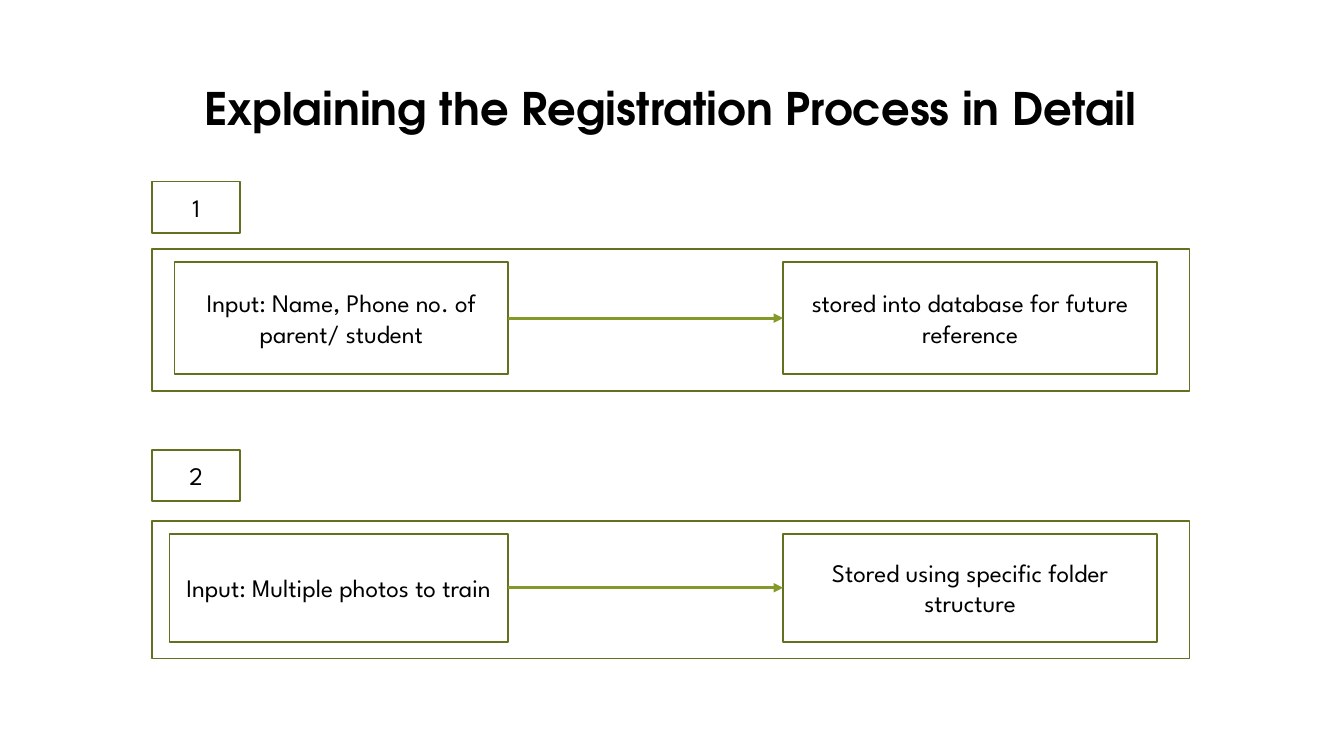
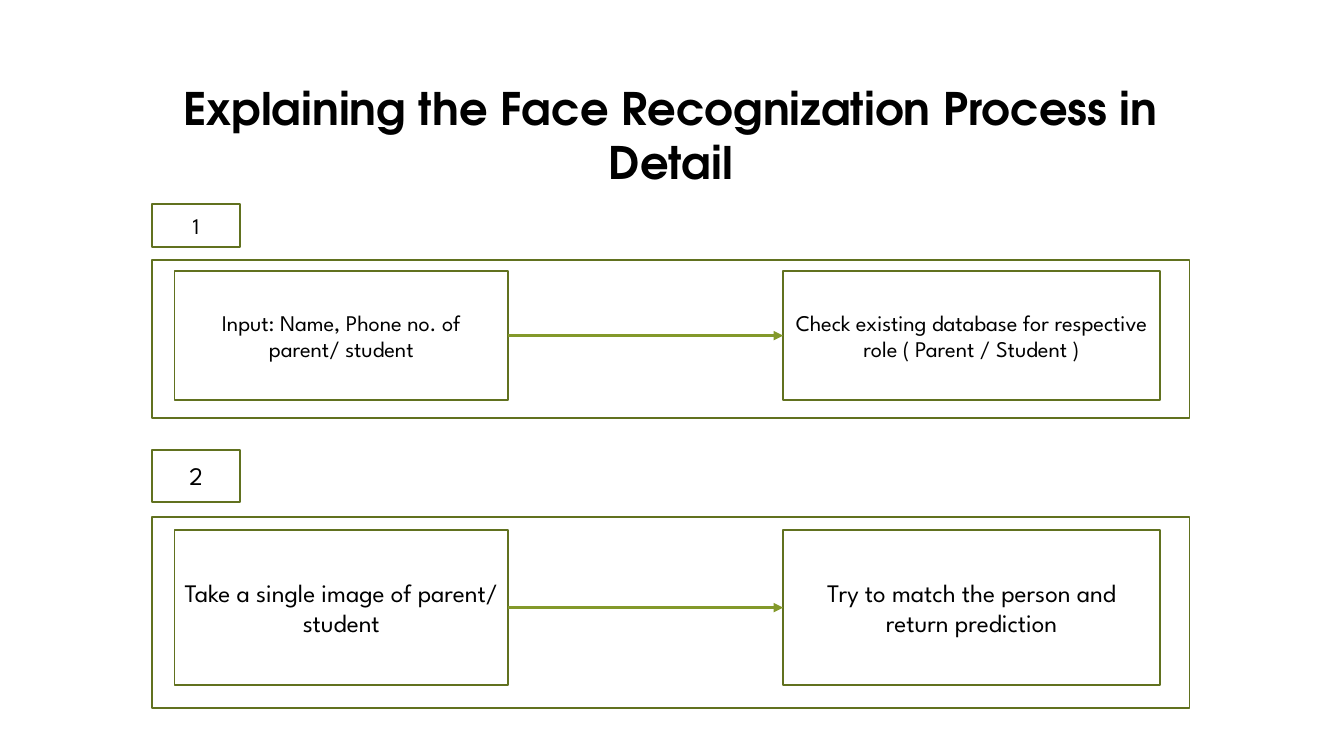
import dataclasses

import lxml.etree
import pptx
import pptx.dml.color
import pptx.enum.shapes
import pptx.enum.text
import pptx.oxml.ns
import pptx.util

Pt = pptx.util.Pt
RGB = pptx.dml.color.RGBColor


@dataclasses.dataclass(frozen=True)
class Theme:
    ink: RGB = RGB.from_string("000000")
    outline: RGB = RGB.from_string("61711F")
    arrow: RGB = RGB.from_string("83992A")
    title_font: str = "TeX Gyre Adventor"
    body_font: str = "League Spartan"
    title_size: float = 32
    body_size: float = 18
    small_size: float = 16
    outline_width: float = 1.25
    arrow_width: float = 2.25


# Columns shared by every stage, in points
LEFT, FRAME_WIDTH = 108.7, 740.9
BADGE_WIDTH = 62.8
INPUT_LEFT, INPUT_RIGHT = 124.7, 362.9
RESULT_LEFT = 559.4


def apply(target, values):
    for name, value in values.items():
        setattr(target, name, value)


class Deck:
    """Holds the theme and the current slide."""

    def __init__(self, theme):
        self.theme = theme
        self.presentation = pptx.Presentation()
        apply(self.presentation, {"slide_width": Pt(960), "slide_height": Pt(540)})
        self.slide = None

    def label(self, shape, text, font, size, bold=False):
        frame = shape.text_frame
        frame.word_wrap = True
        paragraph = frame.paragraphs[0]
        paragraph.alignment = pptx.enum.text.PP_ALIGN.CENTER
        run = paragraph.add_run()
        run.text = text
        apply(run.font, {"name": font, "size": Pt(size), "bold": bold})
        run.font.color.rgb = self.theme.ink

    def new_slide(self, heading, heading_height):
        blank = self.presentation.slide_layouts[6]
        self.slide = self.presentation.slides.add_slide(blank)
        title = self.slide.shapes.add_textbox(
            Pt(LEFT), Pt(54), Pt(FRAME_WIDTH), Pt(heading_height))
        self.label(title, heading, self.theme.title_font, self.theme.title_size, True)

    def box(self, left, top, width, height, text="", size=None):
        box = self.slide.shapes.add_shape(
            pptx.enum.shapes.MSO_SHAPE.RECTANGLE,
            Pt(left), Pt(top), Pt(width), Pt(height))
        box.shadow.inherit = False
        box.fill.background()
        box.line.color.rgb = self.theme.outline
        box.line.width = Pt(self.theme.outline_width)
        if text:
            box.text_frame.vertical_anchor = pptx.enum.text.MSO_ANCHOR.MIDDLE
            self.label(box, text, self.theme.body_font, size)
        return box

    def arrow(self, source, target):
        arrow = self.slide.shapes.add_connector(
            pptx.enum.shapes.MSO_CONNECTOR.STRAIGHT, 0, 0, 0, 0)
        arrow.begin_connect(source, 3)
        arrow.end_connect(target, 1)
        arrow.line.color.rgb = self.theme.arrow
        arrow.line.width = Pt(self.theme.arrow_width)
        # Arrowhead at the target, and no shadow
        qn = pptx.oxml.ns.qn
        properties = arrow.element.spPr
        head = lxml.etree.SubElement(properties.find(qn("a:ln")), qn("a:tailEnd"))
        head.set("type", "triangle")
        lxml.etree.SubElement(properties, qn("a:effectLst"))

    def stage(self, number, badge, frame, steps, texts, result_width,
              size, input_left=INPUT_LEFT):
        """Draw a numbered stage; badge, frame and steps are (top, height)."""
        self.box(LEFT, badge[0], BADGE_WIDTH, badge[1], str(number), size)
        self.box(LEFT, frame[0], FRAME_WIDTH, frame[1])
        top, height = steps
        entry = self.box(input_left, top, INPUT_RIGHT - input_left, height,
                         texts[0], size)
        result = self.box(RESULT_LEFT, top, result_width, height, texts[1], size)
        self.arrow(entry, result)


def main():
    theme = Theme()
    deck = Deck(theme)

    # Registration
    deck.new_slide("Explaining the Registration Process in Detail", 46)
    deck.stage(1, (129.7, 36.9), (177.8, 101.4), (187.2, 80),
               ("Input: Name, Phone no. of parent/ student",
                "stored into database for future reference"),
               267.2, theme.body_size)
    deck.stage(2, (321.2, 36.9), (372.2, 98.1), (381.2, 77.2),
               ("Input: Multiple photos to train",
                "Stored using specific folder structure"),
               267.2, theme.body_size, input_left=121)

    # Face recognition
    deck.new_slide("Explaining the Face Recognization Process in Detail", 85)
    deck.stage(1, (145.9, 30.7), (185.8, 113), (193.5, 92.4),
               ("Input: Name, Phone no. of parent/ student",
                "Check existing database for respective role ( Parent / Student )"),
               269.2, theme.small_size)
    deck.stage(2, (321.4, 37), (369.5, 136.1), (378.7, 110.6),
               ("Take a single image of parent/ student",
                "Try to match the person and return prediction"),
               269.2, theme.body_size)

    deck.presentation.save("out.pptx")


if __name__ == "__main__":
    main()
